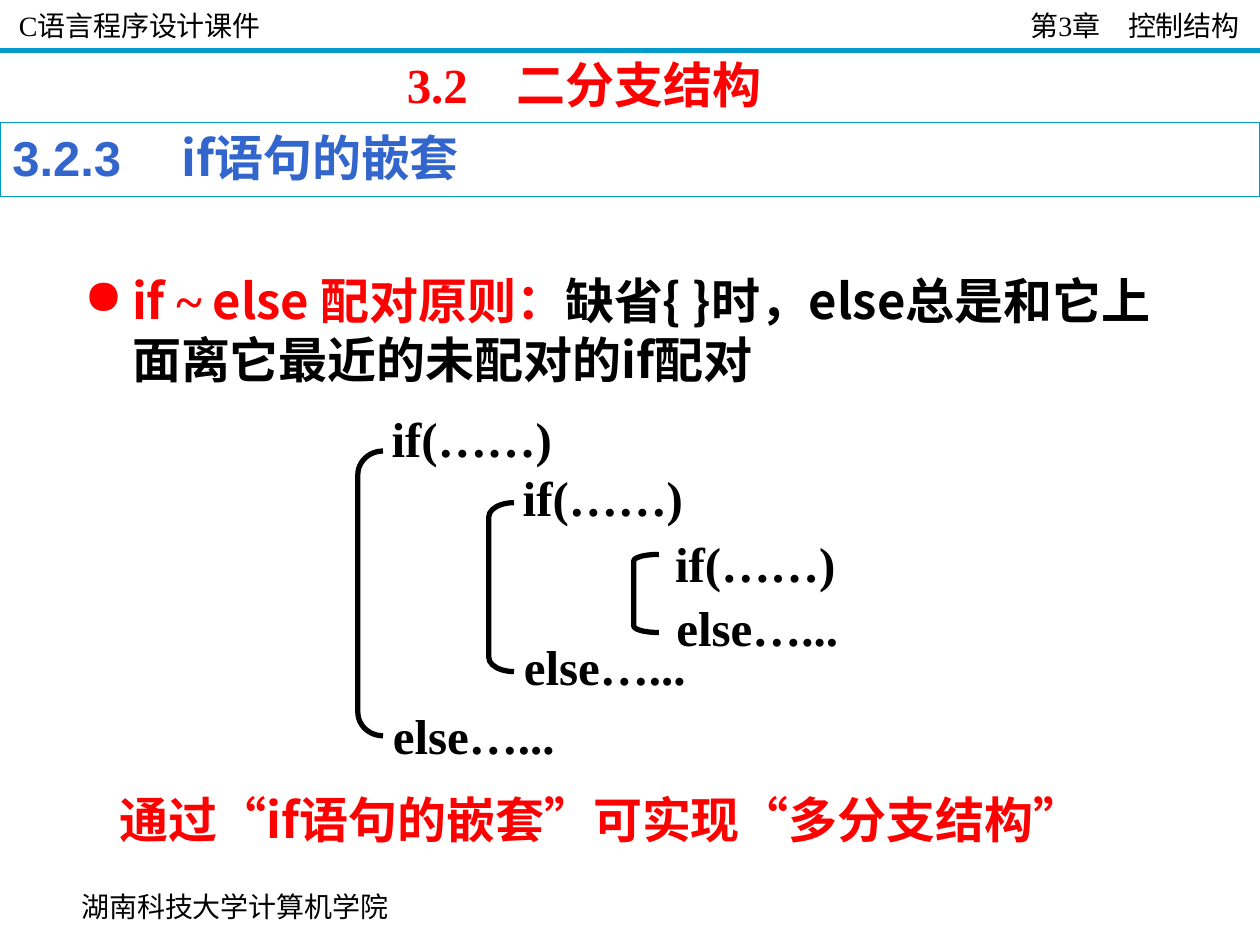
from lxml.etree import SubElement
from pptx import Presentation
from pptx.dml.color import RGBColor
from pptx.enum.shapes import MSO_CONNECTOR as LINK, MSO_SHAPE as SHAPE
from pptx.enum.text import MSO_ANCHOR as ANCHOR, PP_ALIGN as ALIGN
from pptx.oxml.ns import qn
from pptx.util import Inches, Pt

RED = RGBColor(0xFF, 0x00, 0x00)
BLACK = RGBColor(0x00, 0x00, 0x00)
TEAL = RGBColor(0x00, 0x99, 0xCC)
BLUE = RGBColor(0x33, 0x66, 0xCC)
SERIF, SANS, CJK = "Times New Roman", "Arial", "Noto Sans CJK SC"

WIDE, HIGH = 10, 7.5
HEAD = [("C语言程序设计课件\t第3章　控制结构", SERIF, BLACK)]
FOOT = [("湖南科技大学计算机学院", SERIF, BLACK)]
TITLE = [("3.2　二分支结构", SERIF, RED)]
TOPIC = [("3.2.3　 ", SANS, BLUE), ("if语句的嵌套", CJK, BLUE)]
RULE = [("if ", CJK, RED), ("~", SERIF, RED), (" else 配对原则：", CJK, RED),
        ("缺省{ }时，else总是和它上面离它最近的未配对的if配对", CJK, BLACK)]
CLOSE = [("通过“if语句的嵌套”可实现“多分支结构”", CJK, RED)]
# Nested pairs, outer first: left, top of "if", top of "else", bracket top, bracket height
PAIRS = [(3.01, 3.19, 5.55, 3.58, 2.26),
         (4.05, 3.66, 5.0, 3.99, 1.34),
         (5.26, 4.18, 4.69, 4.4, 0.62)]
ARM = 0.2
GAPS = [0.17, 0.17, 0.23]


def write(shape, runs, size=28, bold=True, align=ALIGN.LEFT,
          anchor=ANCHOR.TOP, wrap=True):
    frame = shape.text_frame
    frame.word_wrap = wrap
    frame.vertical_anchor = anchor
    par = frame.paragraphs[0]
    par.alignment = align
    for text, face, color in runs:
        run = par.add_run()
        run.text = text
        font = run.font
        font.name, font.size, font.bold = face, Pt(size), bold
        font.color.rgb = color
        SubElement(font._element, qn("a:ea"), typeface=CJK)
    return frame


def box(slide, place, runs, **style):
    shape = slide.shapes.add_textbox(*map(Inches, place))
    return write(shape, runs, **style)


def add_tab(par, pos):
    tabs = SubElement(par._p.get_or_add_pPr(), qn("a:tabLst"))
    SubElement(tabs, qn("a:tab"), pos=str(Inches(pos)), algn="r")


def add_bullet(par, indent):
    props = par._p.get_or_add_pPr()
    props.set("marL", str(Inches(indent)))
    props.set("indent", str(-Inches(indent)))
    tint = SubElement(props, qn("a:buClr"))
    SubElement(tint, qn("a:srgbClr"), val=str(RED))
    SubElement(props, qn("a:buChar"), char="●")


def add_pair(slide, left, top, low, start, high, gap):
    """Draw one if/else pair with the bracket that joins it."""
    for text, x, y, wide in (("if(……)", left, top, 1.47),
                             ("else…...", left + 0.01, low, 1.48)):
        box(slide, (x, y, wide, 0.57), [(text, SERIF, BLACK)],
            align=ALIGN.CENTER, anchor=ANCHOR.MIDDLE, wrap=False)
    mark = slide.shapes.add_shape(
        SHAPE.LEFT_BRACKET, *map(Inches, (left - gap, start, ARM, high)))
    mark.adjustments[0] = high / 12 / ARM
    mark.shadow.inherit = False
    mark.fill.background()
    mark.line.color.rgb = BLACK
    mark.line.width = Pt(3)


def main():
    deck = Presentation()
    deck.slide_width, deck.slide_height = Inches(WIDE), Inches(HIGH)
    slide = deck.slides.add_slide(deck.slide_layouts[6])

    bar = slide.shapes.add_connector(
        LINK.STRAIGHT, 0, Inches(0.4), Inches(WIDE), Inches(0.4))
    bar.line.color.rgb = TEAL
    bar.line.width = Pt(3)
    SubElement(bar._element.spPr, qn("a:effectLst"))

    small = dict(size=16, bold=False, anchor=ANCHOR.MIDDLE)
    head = box(slide, (0, 0.02, WIDE, 0.36), HEAD, **small)
    head.margin_left, head.margin_right = Inches(0.15), Inches(0.05)
    add_tab(head.paragraphs[0], 9.69)
    box(slide, (0.45, 6.94, 2.83, 0.5), FOOT, align=ALIGN.CENTER,
        wrap=False, **small)

    rule = box(slide, (0.57, 2.1, 8.75, 1.17), RULE).paragraphs[0]
    add_bullet(rule, 0.38)

    for pair, gap in zip(PAIRS, GAPS):
        add_pair(slide, *pair, gap)

    box(slide, (3.13, 0.38, 5.75, 0.64), TITLE)
    band = slide.shapes.add_shape(
        SHAPE.RECTANGLE, *map(Inches, (0, 0.97, WIDE, 0.59)))
    band.shadow.inherit = False
    band.fill.background()
    band.line.color.rgb = TEAL
    band.line.width = Pt(0.75)
    write(band, TOPIC).margin_top = Inches(0.04)

    box(slide, (0.83, 5.98, 7.88, 1.04), CLOSE, align=ALIGN.CENTER,
        anchor=ANCHOR.MIDDLE)

    deck.save("out.pptx")


if __name__ == "__main__":
    main()
